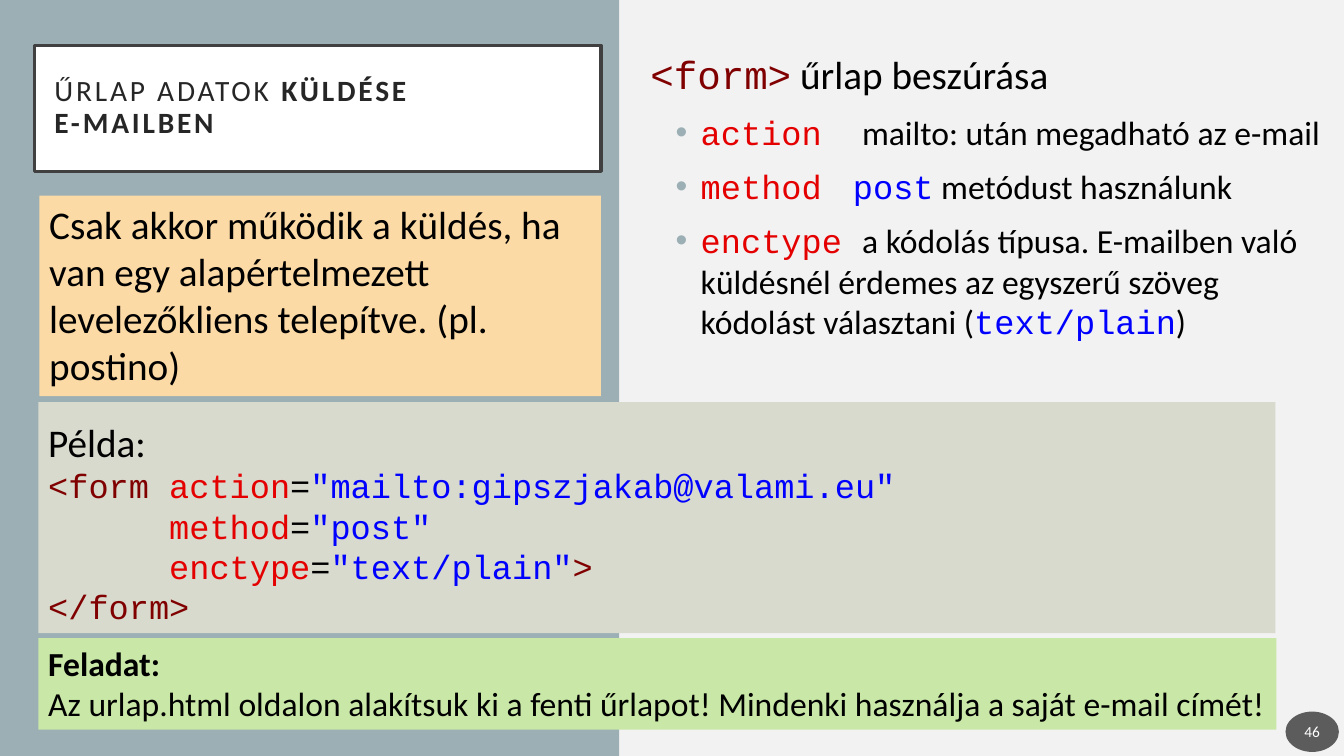
from dataclasses import dataclass
from typing import Optional

import pptx
import pptx.dml.color
import pptx.enum.shapes
import pptx.enum.text
import pptx.oxml
import pptx.oxml.ns
import pptx.util
from pptx.util import Inches

SANS, MONO = "Calibri", "Courier New"
BLACK, WHITE, SLATE = "000000", "FFFFFF", "9BAFB5"
TAG, ATTRIBUTE, VALUE = "800000", "E50000", "0000FF"
SHAPE = pptx.enum.shapes.MSO_SHAPE
ANCHOR = pptx.enum.text.MSO_ANCHOR
ALIGN = pptx.enum.text.PP_ALIGN


@dataclass
class Piece:
    """A stretch of equally formatted text; a newline in it is a line break."""
    text: str
    color: str = BLACK
    font: str = SANS
    bold: bool = False


@dataclass
class Line:
    pieces: list[Piece]
    size: float
    bullet: bool = False
    tab: Optional[float] = None
    line_points: Optional[float] = None


@dataclass
class Panel:
    left: float
    top: float
    width: float
    height: float
    fill: str
    anchor: ANCHOR
    lines: list[Line]


def code(text: str, color: str) -> Piece:
    return Piece(text, color, MONO)


def rgb(color: str) -> pptx.dml.color.RGBColor:
    return pptx.dml.color.RGBColor.from_string(color)


def place(shape, left: float, top: float, width: float, height: float) -> None:
    shape.left, shape.top = Inches(left), Inches(top)
    shape.width, shape.height = Inches(width), Inches(height)


def add_filled(slide, kind: SHAPE, left: float, top: float, width: float,
               height: float, fill: str):
    shape = slide.shapes.add_shape(
        kind, Inches(left), Inches(top), Inches(width), Inches(height))
    shape.shadow.inherit = False
    shape.fill.solid()
    shape.fill.fore_color.rgb = rgb(fill)
    shape.line.fill.background()
    return shape


def append_xml(parent, tag: str, content: str = "", **attributes: str) -> None:
    listed = " ".join(f'{name}="{value}"' for name, value in attributes.items())
    namespace = pptx.oxml.ns.nsdecls("a")
    parent.append(pptx.oxml.parse_xml(
        f"<a:{tag} {namespace} {listed}>{content}</a:{tag}>"))


def set_list_format(paragraph, line: Line) -> None:
    """Set the indent, bullet and tab stop of a body paragraph."""
    properties = paragraph._p.get_or_add_pPr()
    properties.set("marL", str(Inches(0.5 if line.bullet else 0)))
    properties.set("indent", str(Inches(-0.25 if line.bullet else 0)))
    if line.bullet:
        paragraph.level = 1
        append_xml(properties, "buClr", f'<a:srgbClr val="{SLATE}"/>')
        append_xml(properties, "buFont", typeface="Arial")
        append_xml(properties, "buChar", char="•")
    else:
        append_xml(properties, "buNone")
    if line.tab:
        append_xml(properties, "tabLst",
                   f'<a:tab pos="{Inches(line.tab)}" algn="l"/>')


def write_lines(text_frame, lines: list[Line], is_list: bool = False,
                align: ALIGN = ALIGN.LEFT) -> None:
    text_frame.word_wrap = True
    text_frame.auto_size = pptx.enum.text.MSO_AUTO_SIZE.NONE
    for index, line in enumerate(lines):
        paragraph = text_frame.add_paragraph() if index else text_frame.paragraphs[0]
        if is_list:
            set_list_format(paragraph, line)
        paragraph.alignment = align
        paragraph.space_before = pptx.util.Pt(10 if is_list and index else 0)
        if line.line_points:
            paragraph.line_spacing = pptx.util.Pt(line.line_points)
        for piece in line.pieces:
            for part, text in enumerate(piece.text.split("\n")):
                if part:
                    paragraph.add_line_break()
                if text:
                    run = paragraph.add_run()
                    run.text = text
                    run.font.name = piece.font
                    run.font.size = pptx.util.Pt(line.size)
                    run.font.bold = piece.bold
                    run.font.color.rgb = rgb(piece.color)


TITLE = [Line([Piece("ŰRLAP ADATOK ", "262626"),
               Piece("KÜLDÉSE\nE-MAILBEN", "262626", bold=True)], 21)]

BODY = [
    Line([code("<form>", TAG), Piece(" űrlap beszúrása")], 28),
    Line([code("action", ATTRIBUTE),
          Piece("\tmailto: után megadható az e-mail")], 24, True, 2.1),
    Line([code("method", ATTRIBUTE), code("\tpost", VALUE),
          Piece(" metódust használunk")], 24, True, 2.01),
    Line([code("enctype ", ATTRIBUTE),
          Piece("a kódolás típusa. E-mailben való küldésnél érdemes az "
                "egyszerű szöveg kódolást választani ("),
          code("text/plain", VALUE), Piece(")")], 24, True),
]

EQUALS = code("=", BLACK)
PANELS = [
    Panel(0.38, 3.99, 12.27, 2.29, "D7DACD", ANCHOR.MIDDLE, [
        Line([Piece("Példa:")], 28, line_points=40.5),
        Line([code("<form ", TAG),
              code("action", ATTRIBUTE), EQUALS,
              code('"mailto:gipszjakab@valami.eu"\n      ', VALUE),
              code("method", ATTRIBUTE), EQUALS,
              code('"post"\n      ', VALUE),
              code("enctype", ATTRIBUTE), EQUALS,
              code('"text/plain"', VALUE), code(">", TAG)], 24),
        Line([code("</form>", TAG)], 24)]),
    Panel(0.39, 1.94, 5.57, 1.99, "FBDAA5", ANCHOR.TOP, [
        Line([Piece("Csak akkor működik a küldés, ha van egy alapértelmezett "
                    "levelezőkliens telepítve. (pl. postino)")], 28)]),
    Panel(0.38, 6.33, 12.28, 0.91, "C9E7A7", ANCHOR.TOP, [
        Line([Piece("Feladat:", bold=True)], 24),
        Line([Piece("Az urlap.html oldalon alakítsuk ki a fenti űrlapot! "
                    "Mindenki használja a saját e-mail címét!")], 24)]),
]


def add_title(slide) -> None:
    title = slide.shapes.title
    place(title, 0.34, 0.45, 5.62, 1.25)
    title.fill.solid()
    title.fill.fore_color.rgb = rgb(WHITE)
    title.line.color.rgb = rgb("404040")
    title.line.width = pptx.util.Pt(2.5)
    frame = title.text_frame
    frame.vertical_anchor = ANCHOR.MIDDLE
    frame.margin_left = frame.margin_right = Inches(0.2)
    frame.margin_top = frame.margin_bottom = Inches(0.2)
    write_lines(frame, TITLE)
    frame.paragraphs[0].line_spacing = 0.9
    for run in frame.paragraphs[0].runs:
        run.font._element.set("spc", "200")


def add_page_number(slide) -> None:
    badge = add_filled(slide, SHAPE.OVAL, 12.75, 7.06, 0.53, 0.4, "1D1D1D")
    color = badge.fill._xPr.find(".//" + pptx.oxml.ns.qn("a:srgbClr"))
    append_xml(color, "alpha", val="70000")
    frame = badge.text_frame
    frame.margin_left = frame.margin_right = Inches(0.02)
    frame.vertical_anchor = ANCHOR.MIDDLE
    write_lines(frame, [Line([Piece("46", WHITE)], 11)], align=ALIGN.CENTER)


def main() -> None:
    presentation = pptx.Presentation()
    presentation.slide_width, presentation.slide_height = Inches(13.33), Inches(7.5)
    slide = presentation.slides.add_slide(presentation.slide_layouts[1])
    slide.background.fill.solid()
    slide.background.fill.fore_color.rgb = rgb("F2F2F2")

    side_band = add_filled(slide, SHAPE.RECTANGLE, 0, 0, 6.14, 7.5, SLATE)
    slide.shapes.element.insert(2, side_band.element)
    add_title(slide)
    body = slide.placeholders[1]
    place(body, 6.35, 0.45, 6.93, 3.06)
    write_lines(body.text_frame, BODY, is_list=True)
    add_page_number(slide)
    for panel in PANELS:
        shape = add_filled(slide, SHAPE.RECTANGLE, panel.left, panel.top,
                           panel.width, panel.height, panel.fill)
        shape.text_frame.vertical_anchor = panel.anchor
        write_lines(shape.text_frame, panel.lines)
    presentation.save("out.pptx")


if __name__ == "__main__":
    main()
